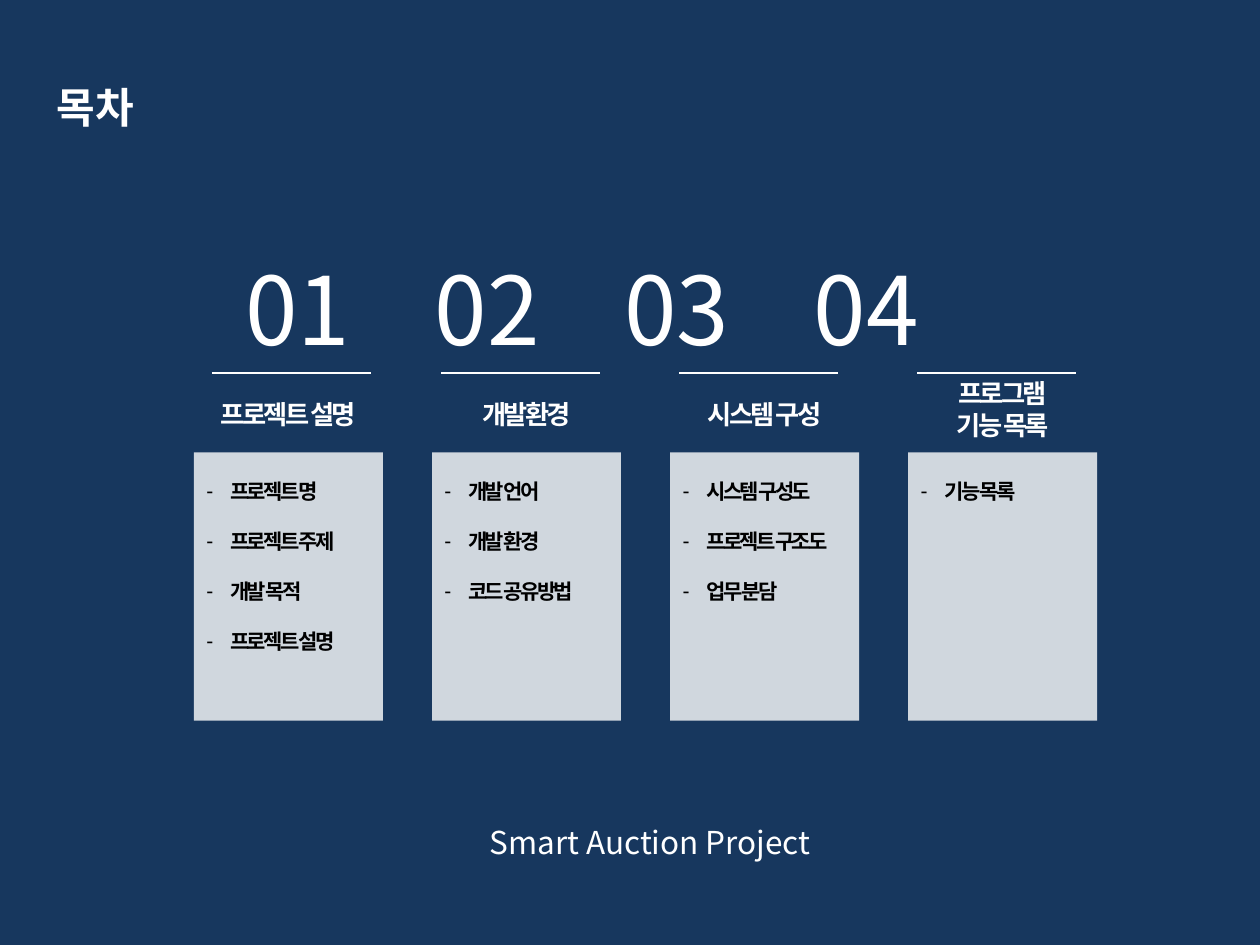
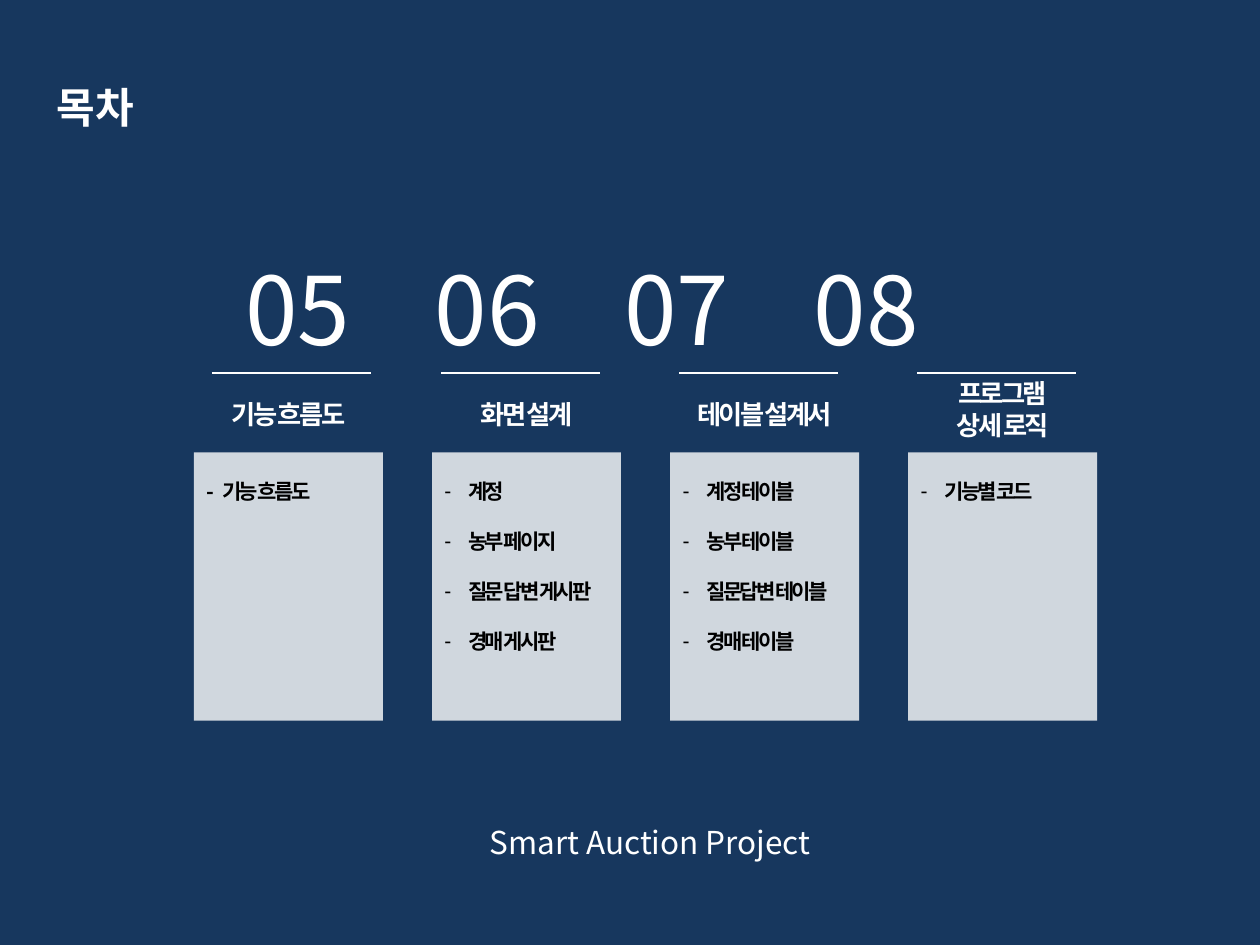
import pptx
import pptx.util
import pptx.dml.color
import pptx.enum.shapes
import pptx.enum.text
import pptx.oxml
import pptx.oxml.ns
from lxml import etree

Cm, Pt = pptx.util.Cm, pptx.util.Pt
ALIGN = pptx.enum.text.PP_ALIGN
COLORS = {"navy": "17375E", "white": "FFFFFF", "black": "000000"}
SANS = "Noto Sans CJK KR"

# Text formats
TITLE = {"size": Pt(24), "name": SANS, "bold": True, "color": "white"}
FOOTER = {"size": Pt(18), "name": SANS, "color": "white"}
NUMBER = {"size": Pt(54), "name": SANS, "color": "white"}
HEADING = {"size": Pt(15), "name": "Arial", "bold": True, "color": "white", "spacing": -150}
ITEM = {"size": Pt(12), "name": SANS, "bold": True, "color": "black", "spacing": -150}

# Column grid, in centimetres
CARD_LEFT, CARD_TOP, CARD_WIDTH, CARD_HEIGHT = 3.91, 9.12, 3.81, 5.41
COLUMN_PITCH = 4.8
NUMBER_PITCH = 3.82
RULE_TOP, RULE_WIDTH = 7.52, 3.2
RULE_INSETS = (0.36, 0.18, 0.18, 0.18)
HEADING_WIDTHS = (3.81, 4.6, 4.6, 3.81)
ITEM_INDENT, TYPED_DASH_TAB = 0.48, 0.32

# Each section: heading lines, then its items
CONTENTS = [
    [
        (["프로젝트 설명"], ["프로젝트 명", "프로젝트 주제", "개발 목적", "프로젝트 설명"]),
        (["개발환경"], ["개발 언어", "개발 환경", "코드 공유방법"]),
        (["시스템 구성"], ["시스템 구성도", "프로젝트 구조도", "업무 분담"]),
        (["프로그램", "기능 목록"], ["기능 목록"]),
    ],
    [
        (["기능 흐름도"], ["-\t기능 흐름도"]),
        (["화면 설계"], ["계정", "농부 페이지", "질문 답변 게시판", "경매 게시판"]),
        (["테이블 설계서"], ["계정 테이블", "농부 테이블", "질문답변 테이블", "경매 테이블"]),
        (["프로그램", "상세 로직"], ["기능별 코드"]),
    ],
]


def add_xml(parent, tag, **attributes):
    return etree.SubElement(parent, pptx.oxml.ns.qn(tag), {k: str(v) for k, v in attributes.items()})


class Deck:
    def __init__(self):
        self.prs = pptx.Presentation()
        self.prs.slide_width, self.prs.slide_height = Cm(25.4), Cm(19.05)
        self.slide = None

    def color(self, name):
        return pptx.dml.color.RGBColor.from_string(COLORS[name])

    def new_slide(self):
        self.slide = self.prs.slides.add_slide(self.prs.slide_layouts[6])
        fill = self.slide.background.fill
        fill.solid()
        fill.fore_color.rgb = self.color("navy")

    def style(self, run, text_format):
        for key, value in text_format.items():
            if key == "color":
                run.font.color.rgb = self.color(value)
            elif key == "spacing":
                run._r.get_or_add_rPr().set("spc", str(value))
            else:
                setattr(run.font, key, value)
        if text_format["name"] == SANS:
            add_xml(run._r.get_or_add_rPr(), "a:ea", typeface=SANS)

    def text(self, lines, left, top, width, height, text_format,
             align=ALIGN.LEFT, tabs=(), bullet=False, gap=0):
        box = self.slide.shapes.add_textbox(Cm(left), Cm(top), Cm(width), Cm(height))
        frame = box.text_frame
        frame.word_wrap = True
        frame.auto_size = pptx.enum.text.MSO_AUTO_SIZE.SHAPE_TO_FIT_TEXT
        for index, line in enumerate(lines):
            paragraph = frame.paragraphs[0] if index == 0 else frame.add_paragraph()
            paragraph.alignment = align
            if index and gap:
                paragraph.space_before = Pt(gap)
            properties = paragraph._p.get_or_add_pPr()
            if bullet:
                properties.set("marL", str(Cm(ITEM_INDENT)))
                properties.set("indent", str(-Cm(ITEM_INDENT)))
                add_xml(properties, "a:buFont", typeface="Arial")
                add_xml(properties, "a:buChar", char="-")
            if tabs:
                stops = add_xml(properties, "a:tabLst")
                for stop in tabs:
                    add_xml(stops, "a:tab", pos=Cm(stop), algn="l")
            run = paragraph.add_run()
            run.text = line
            self.style(run, text_format)

    def rule(self, left, top, width):
        line = self.slide.shapes.add_connector(
            pptx.enum.shapes.MSO_CONNECTOR.STRAIGHT, Cm(left), Cm(top), Cm(left + width), Cm(top))
        line.line.color.rgb = self.color("white")
        line.line.width = Pt(0.75)
        add_xml(line._element.spPr, "a:effectLst")

    def card(self, left):
        card = self.slide.shapes.add_shape(
            pptx.enum.shapes.MSO_SHAPE.RECTANGLE,
            Cm(left), Cm(CARD_TOP), Cm(CARD_WIDTH), Cm(CARD_HEIGHT))
        card.shadow.inherit = False
        card.line.fill.background()
        card.fill.solid()
        card.fill.fore_color.rgb = self.color("white")
        white = card._element.spPr.find(".//" + pptx.oxml.ns.qn("a:srgbClr"))
        add_xml(white, "a:alpha", val=80000)

    def section(self, column, heading, items):
        left = CARD_LEFT + column * COLUMN_PITCH
        self.rule(left + RULE_INSETS[column], RULE_TOP, RULE_WIDTH)
        self.card(left)
        # Heading centred over the card
        width = HEADING_WIDTHS[column]
        top, height = (7.9, 0.89) if len(heading) == 1 else (7.49, 1.55)
        self.text(heading, left + (CARD_WIDTH - width) / 2, top, width, height, HEADING, ALIGN.CENTER)
        # Items; a typed dash takes a tab in place of a bullet
        typed = "\t" in items[0]
        self.text(items, left, 9.52, CARD_WIDTH, 0.76 + (len(items) - 1) * 1.02, ITEM,
                  tabs=(TYPED_DASH_TAB,) if typed else (), bullet=not typed, gap=14.2)


def main():
    deck = Deck()
    number = 1
    for sections in CONTENTS:
        deck.new_slide()
        deck.text(["목차"], 0.89, 1.52, 11.61, 1.27, TITLE)
        # Section numbers on evenly spaced tab stops
        numbers = "\t".join(f"{number + i:02d}" for i in range(len(sections)))
        deck.text([numbers], 4.7, 4.93, 20.3, 2.57, NUMBER,
                  tabs=[NUMBER_PITCH * i for i in range(1, len(sections))])
        number += len(sections)
        for column, (heading, items) in enumerate(sections):
            deck.section(column, heading, items)
        deck.text(["Smart Auction Project"], 8.1, 16.46, 10.01, 1.02, FOOTER, ALIGN.CENTER)
    deck.prs.save("out.pptx")


if __name__ == "__main__":
    main()
